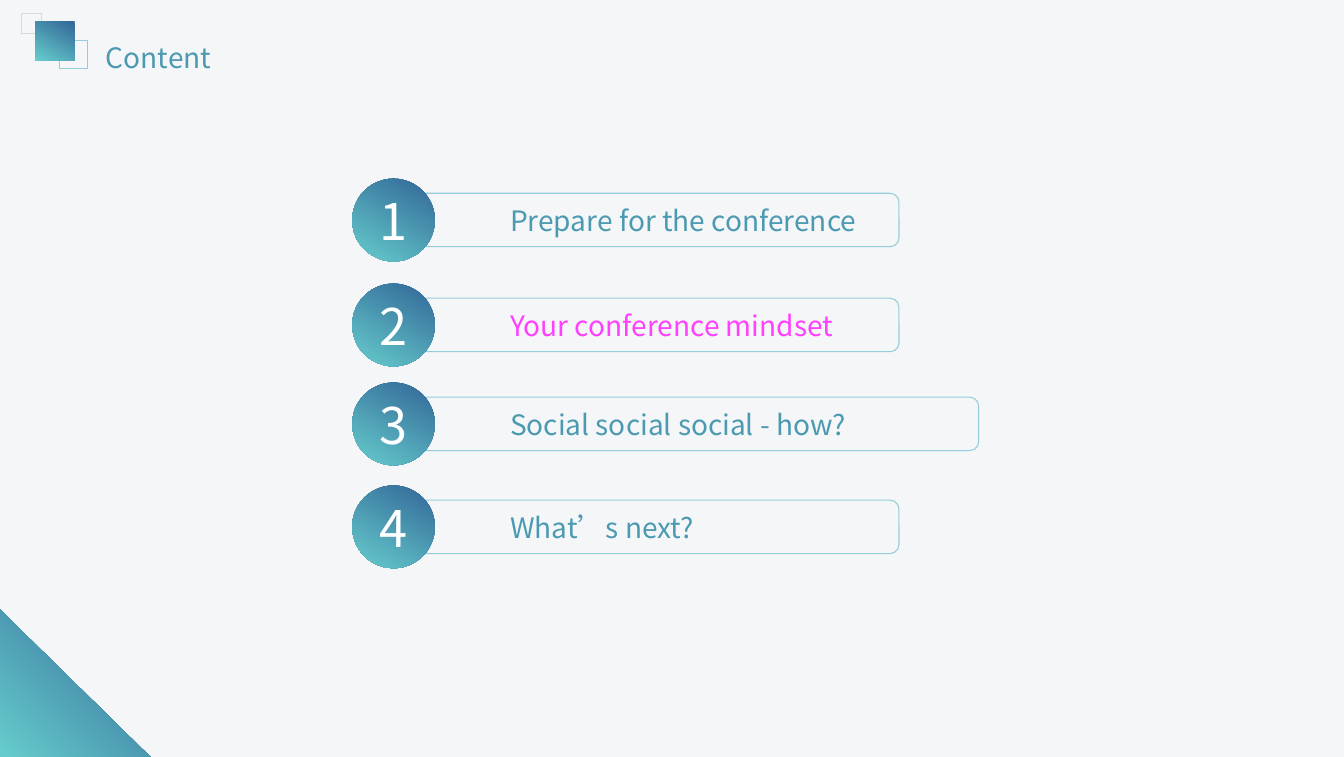
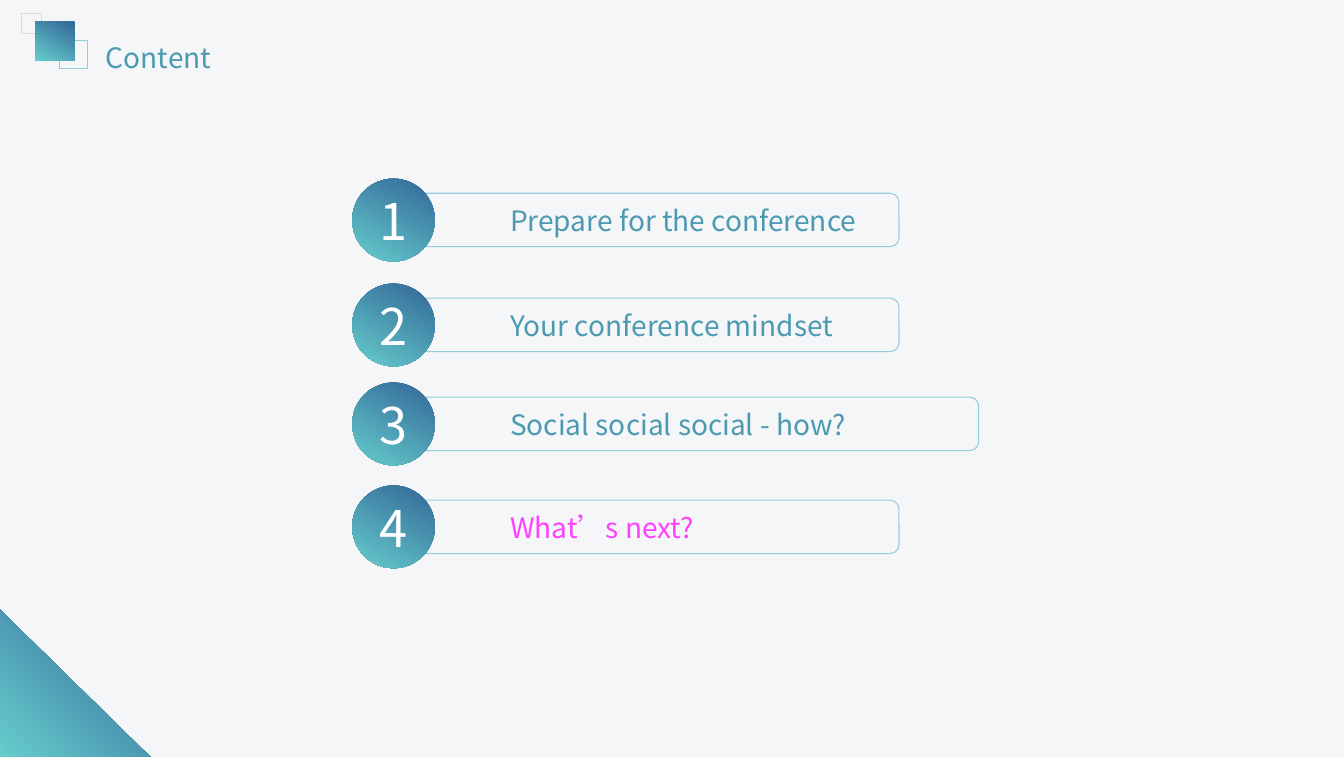
from dataclasses import dataclass
from lxml.etree import SubElement
from pptx import Presentation
from pptx.dml.color import RGBColor
from pptx.enum.shapes import MSO_SHAPE
from pptx.enum.text import MSO_ANCHOR, PP_ALIGN
from pptx.oxml.ns import qn
from pptx.util import Inches, Pt

# Content
TITLE = "Content"
TOPICS = [  # text, bar middle (in), bar width (in)
    ("Prepare for the conference", 2.18, 5.18),
    ("Your conference mindset", 3.22, 5.18),
    ("Social social social - how?", 4.2, 5.97),
    ("What’s next?", 5.22, 5.18),
]
ACTIVE = [2, 4]  # topic marked on each slide


@dataclass(frozen=True)
class Theme:
    font: str = "Noto Sans CJK SC"
    back: str = "F5F6F7"
    ink: str = "4C9AB2"
    mark: str = "FF40FF"
    white: str = "FFFFFF"
    edge: str = "93CDDD"
    pale: str = "D9D9D9"
    blend: tuple = ("326698", "66CDCC")
    body: int = 20
    digit: int = 36
    line: float = 0.75


T = Theme()
WIDE, HIGH = 13.32, 7.5
LEFT, BAR, DISC = 3.73, 0.53, 0.82
INDENT = 1.3  # bar edge to topic text
PAD = 0.05


def rgb(code):
    return RGBColor.from_string(code)


def write(shape, text, size=T.body, color=T.ink, align=PP_ALIGN.LEFT,
          anchor=MSO_ANCHOR.MIDDLE, left=PAD, pad=PAD):
    frame = shape.text_frame
    frame.word_wrap = True
    frame.vertical_anchor = anchor
    frame.margin_left = Inches(left)
    frame.margin_right = frame.margin_top = frame.margin_bottom = Inches(pad)
    para = frame.paragraphs[0]
    para.alignment = align
    run = para.add_run()
    run.text = text
    run.font.size, run.font.name = Pt(size), T.font
    run.font.color.rgb = rgb(color)
    SubElement(run.font._element, qn("a:ea"), typeface=T.font)


def blend(shape, angle):
    """Fill with the theme blend; the angle runs clockwise."""
    shape.shadow.inherit = False
    shape.line.fill.background()
    shape.fill.gradient()
    shape.fill.gradient_angle = 360 - angle
    for stop, code in zip(shape.fill.gradient_stops, T.blend):
        stop.color.rgb = rgb(code)
    return shape


def block(slide, kind, *box, edge=None):
    """Add an outlined shape, or a blended one if no edge is given."""
    shape = slide.shapes.add_shape(kind, *map(Inches, box))
    if edge is None:
        return blend(shape, 120)
    shape.shadow.inherit = False
    shape.fill.background()
    shape.line.color.rgb = rgb(edge)
    shape.line.width = Pt(T.line)
    return shape


def corner(slide):
    """Triangle in the bottom left corner."""
    side = 1.49
    pen = slide.shapes.build_freeform(0, Inches(HIGH))
    pen.add_line_segments([(Inches(side), Inches(HIGH)),
                           (0, Inches(HIGH - 1.46))], close=True)
    return blend(pen.convert_to_shape(), 135)


def dress(layout, slide):
    """Draw the shared decoration and move it to the layout."""
    parts = [
        block(slide, MSO_SHAPE.RECTANGLE, 0.59, 0.4, 0.28, 0.28, edge=T.edge),
        block(slide, MSO_SHAPE.RECTANGLE, 0.21, 0.13, 0.2, 0.2, edge=T.pale),
        block(slide, MSO_SHAPE.RECTANGLE, 0.35, 0.21, 0.39, 0.39),
        corner(slide),
    ]
    for part in parts:
        layout.shapes.element.append(part.element)


def topic(slide, num, text, mid, wide, color):
    bar = block(slide, MSO_SHAPE.ROUNDED_RECTANGLE,
                LEFT, mid - BAR / 2, wide, BAR, edge=T.edge)
    write(bar, text, color=color, left=INDENT)
    disc = block(slide, MSO_SHAPE.OVAL,
                 LEFT - 0.24, mid - DISC / 2, DISC, DISC)
    write(disc, str(num), size=T.digit, color=T.white,
          align=PP_ALIGN.CENTER, left=0, pad=0)


def main():
    deck = Presentation()
    deck.slide_width, deck.slide_height = Inches(WIDE), Inches(HIGH)

    # Shared background and title place
    back = deck.slide_master.background.fill
    back.solid()
    back.fore_color.rgb = rgb(T.back)
    layout = deck.slide_layouts.get_by_name("Title Only")
    head = layout.placeholders[0]
    head.left, head.top, head.width, head.height = map(
        Inches, (1, 0.35, 1.97, 0.43))

    # Slides
    for index, active in enumerate(ACTIVE):
        slide = deck.slides.add_slide(layout)
        if index == 0:
            dress(layout, slide)
        write(slide.shapes.title, TITLE, anchor=MSO_ANCHOR.TOP)
        for num, row in enumerate(TOPICS, 1):
            topic(slide, num, *row, T.mark if num == active else T.ink)
    deck.save("out.pptx")


if __name__ == "__main__":
    main()
